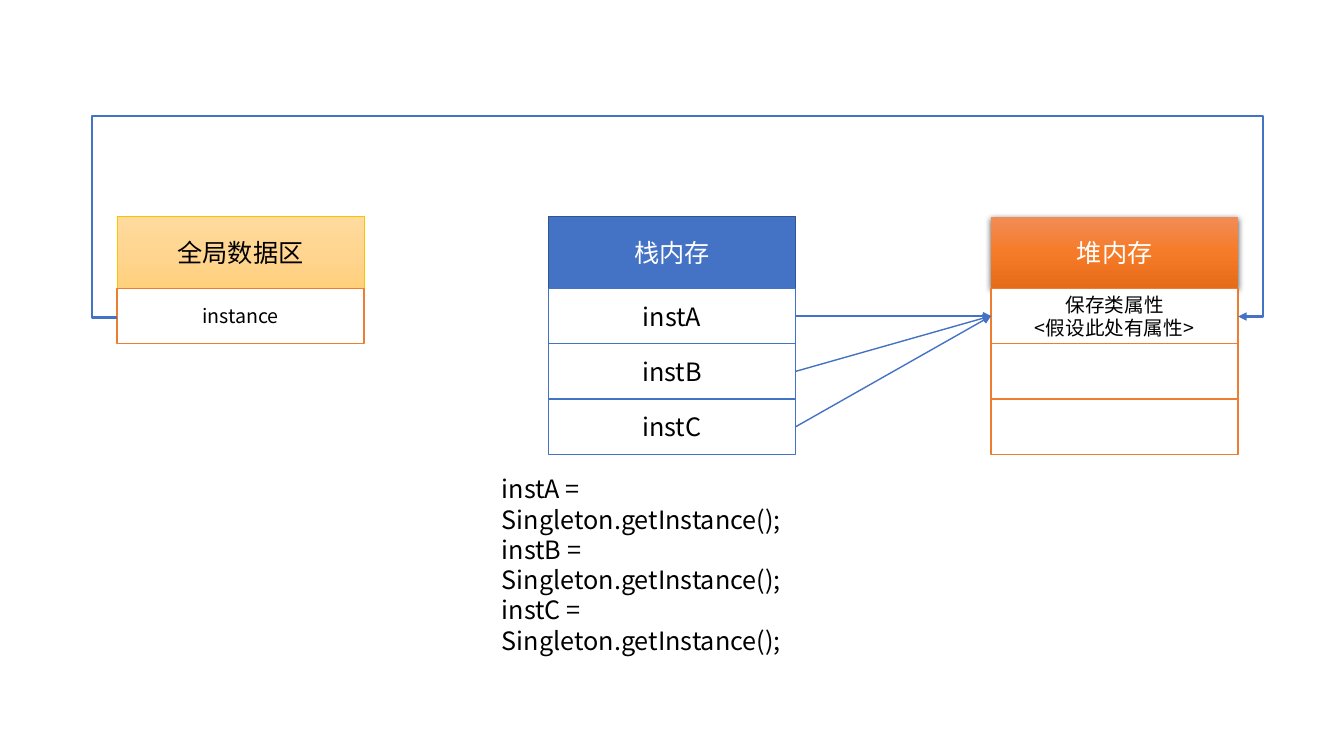
from lxml import etree
from copy import deepcopy
from pptx import Presentation
from pptx.dml.color import RGBColor
from pptx.enum.shapes import MSO_CONNECTOR, MSO_SHAPE
from pptx.enum.text import MSO_ANCHOR, PP_ALIGN
from pptx.oxml import parse_xml
from pptx.oxml.ns import nsdecls, qn
from pptx.util import Inches, Pt

WHITE = RGBColor(0xFF, 0xFF, 0xFF)
BLACK = RGBColor(0x00, 0x00, 0x00)
BLUE = RGBColor(0x44, 0x72, 0xC4)
NAVY = RGBColor(0x32, 0x54, 0x91)
ORANGE = RGBColor(0xED, 0x7D, 0x31)
GOLD = RGBColor(0xFF, 0xC0, 0x00)
ORANGE_BLEND = [RGBColor(0xF1, 0x8C, 0x57), RGBColor(0xF6, 0x7B, 0x28), RGBColor(0xE5, 0x6C, 0x19)]
GOLD_BLEND = [RGBColor(0xFF, 0xDB, 0x9E), RGBColor(0xFF, 0xD5, 0x90), RGBColor(0xFF, 0xD0, 0x7C)]

GLOBAL_X, STACK_X, HEAP_X = 1.16, 5.44, 9.83
TOP, HEADER_H, CELL_H, WIDTH = 2.15, 0.71, 0.55, 2.45
CELLS_TOP = TOP + HEADER_H
FIRST_ROW = CELLS_TOP + CELL_H / 2


class MemoryDiagram:
    """Draws memory columns, code and pointers on one slide in one style."""

    font = "Noto Sans CJK SC"

    def __init__(self, slide):
        self.shapes = slide.shapes

    def put_lines(self, frame, lines, size, color, align):
        frame.word_wrap = True
        for i, line in enumerate(lines):
            paragraph = frame.paragraphs[0] if i == 0 else frame.add_paragraph()
            paragraph.alignment = align
            paragraph.line_spacing = Pt(size * 1.2)
            run = paragraph.add_run()
            run.text = line
            run.font.size, run.font.name = Pt(size), self.font
            run.font.color.rgb = color
            etree.SubElement(run._r.get_or_add_rPr(), qn("a:ea"), typeface=self.font)

    def blend(self, fill, colors):
        fill.gradient()
        fill.gradient_angle = 270
        first = fill.gradient_stops[0]._gs
        first.addnext(deepcopy(first))
        for i, (stop, color) in enumerate(zip(fill.gradient_stops, colors)):
            stop.position = i / 2
            stop.color.rgb = color

    def box(self, x, y, height, lines, size=18, fill=WHITE, line=None, line_width=1, color=BLACK):
        box = self.shapes.add_shape(
            MSO_SHAPE.RECTANGLE, Inches(x), Inches(y), Inches(WIDTH), Inches(height))
        box.shadow.inherit = False
        if isinstance(fill, list):
            self.blend(box.fill, fill)
        else:
            box.fill.solid()
            box.fill.fore_color.rgb = fill
        if line is None:
            box.line.fill.background()
        else:
            box.line.color.rgb = line
            box.line.width = Pt(line_width)
        box.text_frame.vertical_anchor = MSO_ANCHOR.MIDDLE
        self.put_lines(box.text_frame, lines, size, color, PP_ALIGN.CENTER)
        return box

    def column(self, x, title, rows, size, cell_line, **header_style):
        header = self.box(x, TOP, HEADER_H, [title], **header_style)
        for i, lines in enumerate(rows):
            self.box(x, CELLS_TOP + i * CELL_H, CELL_H, lines, size, line=cell_line)
        return header

    def drop_shadow(self, shape):
        effects = shape._element.spPr.find(qn("a:effectLst"))
        effects.append(parse_xml(
            f'<a:outerShdw {nsdecls("a")} blurRad="57150" dist="19050" dir="5400000" '
            'algn="ctr" rotWithShape="0"><a:srgbClr val="000000"><a:alpha val="63000"/>'
            '</a:srgbClr></a:outerShdw>'))

    def code(self, x, y, width, height, lines):
        box = self.shapes.add_textbox(Inches(x), Inches(y), Inches(width), Inches(height))
        self.put_lines(box.text_frame, lines, 18, BLACK, PP_ALIGN.LEFT)

    def arrow(self, x1, y1, x2, y2, width=1, kind=MSO_CONNECTOR.STRAIGHT):
        arrow = self.shapes.add_connector(kind, Inches(x1), Inches(y1), Inches(x2), Inches(y2))
        arrow.line.color.rgb = BLUE
        arrow.line.width = Pt(width)
        properties = arrow._element.spPr
        etree.SubElement(properties.find(qn("a:ln")), qn("a:tailEnd"), type="triangle")
        etree.SubElement(properties, qn("a:effectLst"))
        return arrow

    def loop_arrow(self, left, right, start_y, end_y, margin, peak):
        arrow = self.arrow(right, end_y, left, start_y, 1.5, MSO_CONNECTOR.ELBOW)
        properties = arrow._element.spPr
        properties.find(qn("a:xfrm")).set("rot", "10800000")
        geometry = properties.find(qn("a:prstGeom"))
        geometry.set("prst", "bentConnector5")
        guides = geometry.find(qn("a:avLst"))
        side = margin / (right - left)
        ratios = [-side, (start_y - peak) / (start_y - end_y), 1 + side]
        for i, ratio in enumerate(ratios, 1):
            etree.SubElement(guides, qn("a:gd"), name=f"adj{i}", fmla=f"val {round(ratio * 100000)}")


prs = Presentation()
prs.slide_width, prs.slide_height = Inches(13.33), Inches(7.5)
diagram = MemoryDiagram(prs.slides.add_slide(prs.slide_layouts[6]))

instances = ["instA", "instB", "instC"]
diagram.column(STACK_X, "栈内存", [[name] for name in instances], 18, BLUE,
               fill=BLUE, line=NAVY, color=WHITE)
diagram.code(4.88, 4.65, 3.58, 1.01, [f"{name} = Singleton.getInstance();" for name in instances])
heap_header = diagram.column(HEAP_X, "堆内存", [["保存类属性", "<假设此处有属性>"], [], []], 14, ORANGE,
                             fill=ORANGE_BLEND, color=WHITE)
diagram.drop_shadow(heap_header)
diagram.column(GLOBAL_X, "全局数据区", [["instance"]], 14, ORANGE,
               fill=GOLD_BLEND, line=GOLD, line_width=0.5)

diagram.loop_arrow(GLOBAL_X, HEAP_X + WIDTH, 3.15, 3.14, 0.24, 1.12)
for row in range(len(instances)):
    diagram.arrow(STACK_X + WIDTH, FIRST_ROW + row * CELL_H, HEAP_X, FIRST_ROW)

prs.save("out.pptx")
